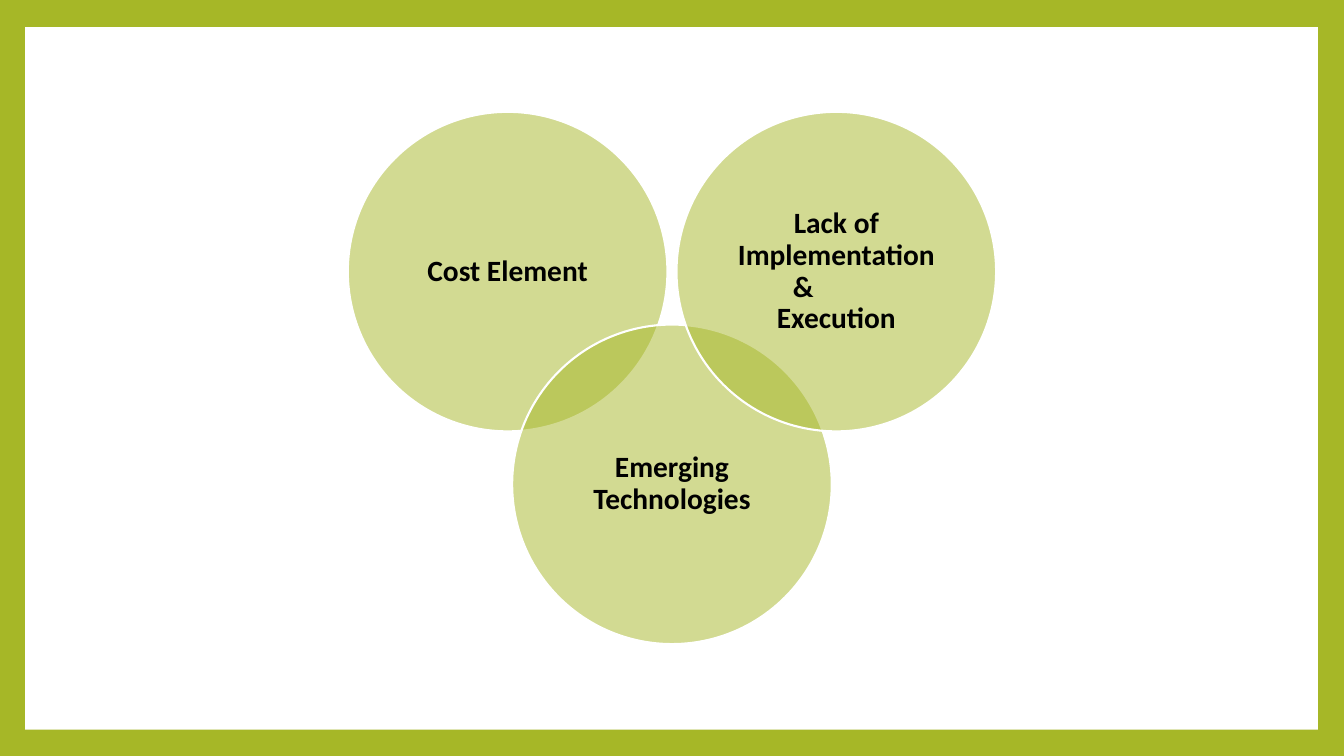
import pptx
import pptx.util
import pptx.dml.color
import pptx.enum.shapes
import pptx.enum.text
import pptx.oxml.ns
from lxml import etree

Inches = pptx.util.Inches
Pt = pptx.util.Pt
SHAPES = pptx.enum.shapes.MSO_SHAPE
ALIGN = pptx.enum.text.PP_ALIGN

GREEN, WHITE, BLACK = "A6B727", "FFFFFF", "000000"
DIAMETER = 3.17
LABEL_SIZE = 2.24
LABEL_OFFSET = (DIAMETER - LABEL_SIZE) / 2
AMPERSAND_INDENT = 0.6


def paint(fill, color):
    fill.solid()
    fill.fore_color.rgb = pptx.dml.color.RGBColor.from_string(color)


def add_filled_shape(slide, kind, left, top, width, height, color):
    s = slide.shapes.add_shape(
        kind, Inches(left), Inches(top), Inches(width), Inches(height))
    s.shadow.inherit = False
    paint(s.fill, color)
    return s


def add_panel(slide):
    s = add_filled_shape(slide, SHAPES.RECTANGLE, 0.25, 0.27, 12.82, 6.97, WHITE)
    s.line.fill.background()


def add_circle(slide, left, top):
    s = add_filled_shape(slide, SHAPES.OVAL, left, top, DIAMETER, DIAMETER, GREEN)
    color = s.fill._xPr.find(".//" + pptx.oxml.ns.qn("a:srgbClr"))
    etree.SubElement(color, pptx.oxml.ns.qn("a:alpha"), val="50000")
    paint(s.line.fill, WHITE)
    s.line.width = Pt(1.5)


def add_label(slide, left, top, text):
    s = slide.shapes.add_textbox(
        Inches(left + LABEL_OFFSET), Inches(top + LABEL_OFFSET),
        Inches(LABEL_SIZE), Inches(LABEL_SIZE))
    tf = s.text_frame
    tf.text = text
    tf.word_wrap = True
    tf.vertical_anchor = pptx.enum.text.MSO_ANCHOR.MIDDLE
    tf.margin_left = tf.margin_right = Inches(0.09)
    tf.margin_top = tf.margin_bottom = Inches(0.09)
    for p in tf.paragraphs:
        p.alignment = ALIGN.CENTER
        p.line_spacing = 0.9
        if p.text == "&":
            p.alignment = ALIGN.LEFT
            p._p.get_or_add_pPr().set("marL", str(Inches(AMPERSAND_INDENT)))
        for r in p.runs:
            r.font.name = "Calibri"
            r.font.size = Pt(21)
            r.font.bold = True
            paint(r.font.fill, BLACK)


def main():
    prs = pptx.Presentation()
    prs.slide_width, prs.slide_height = Inches(13.33), Inches(7.5)
    slide = prs.slides.add_slide(prs.slide_layouts[6])
    paint(slide.background.fill, GREEN)
    add_panel(slide)
    for left, top, text in (
        (3.45, 1.11, "Cost Element"),
        (5.08, 3.22, "Emerging Technologies"),
        (6.71, 1.11, "Lack of Implementation\n&\nExecution"),
    ):
        add_circle(slide, left, top)
        add_label(slide, left, top, text)
    prs.save("out.pptx")


if __name__ == "__main__":
    main()
